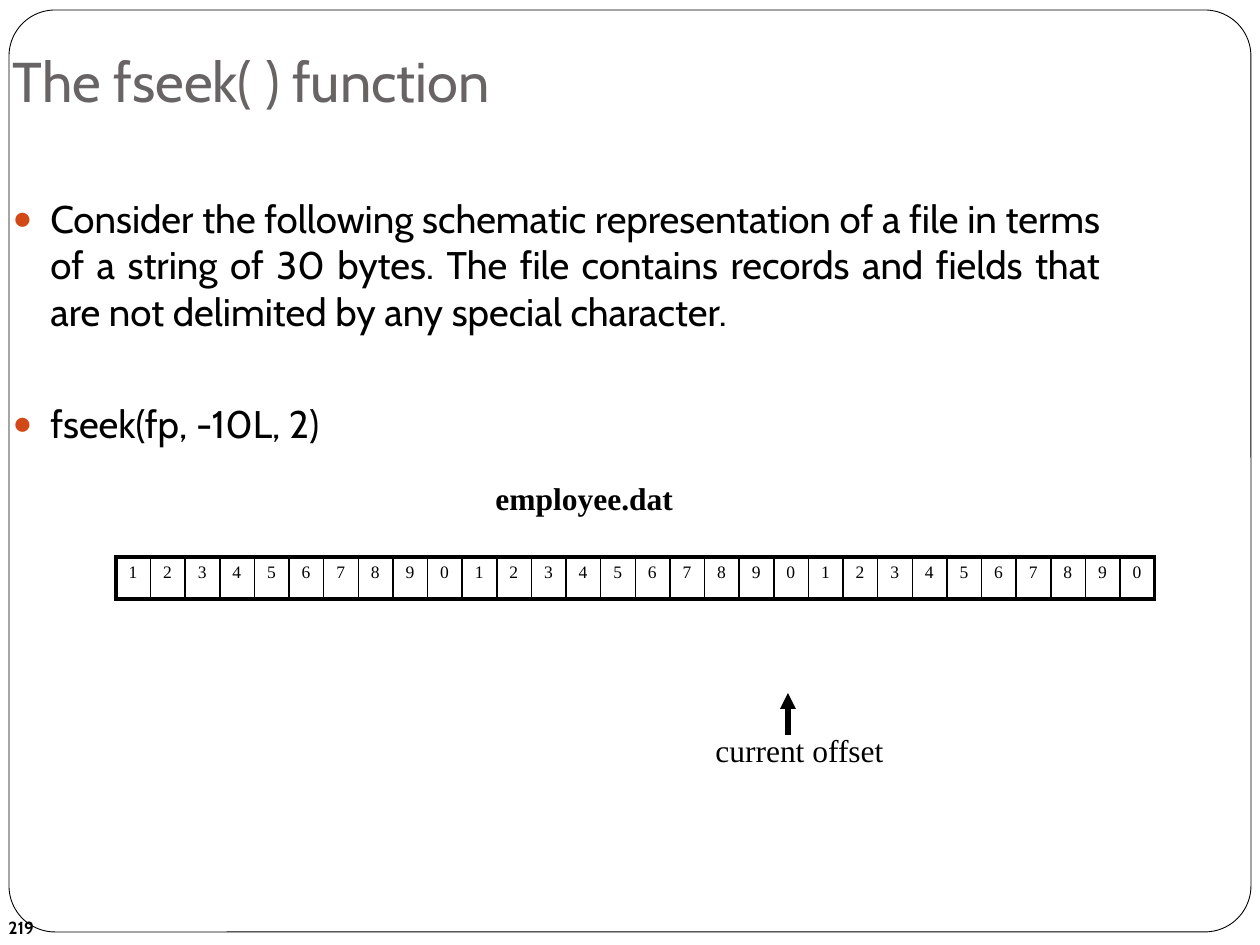
from pptx import Presentation, util as u
from pptx.dml.color import RGBColor
from pptx.enum import shapes, text
from pptx.oxml.ns import qn
from lxml import etree

BLACK = RGBColor(0x00, 0x00, 0x00)
WHITE = RGBColor(0xFF, 0xFF, 0xFF)
GREY = RGBColor(0x69, 0x64, 0x64)
ORANGE = RGBColor(0xD3, 0x48, 0x17)
SANS, SERIF = "Cabin", "Times New Roman"
PX_PER_INCH = 126
RECORD_BYTES = "1234567890" * 3


def px(*lengths):
    return [u.Emu(round(n * 914400 / PX_PER_INCH)) for n in lengths]


def sub(parent, tag, **attributes):
    return etree.SubElement(parent, qn(tag), attributes)


def write(paragraph, wording, font=SANS, size=18, color=BLACK, bold=False,
          align=text.PP_ALIGN.LEFT, before=0):
    paragraph.alignment = align
    paragraph.space_before = u.Pt(before)
    run = paragraph.add_run()
    run.text = wording
    run.font.name = font
    run.font.size = u.Pt(size)
    run.font.bold = bold
    run.font.color.rgb = color


def place(shape, *box):
    shape.left, shape.top, shape.width, shape.height = px(*box)


def add_frame(slide):
    """Rounded page border, behind everything else."""
    frame = slide.shapes.add_shape(
        shapes.MSO_SHAPE.ROUNDED_RECTANGLE, *px(9, 10, 1242, 922))
    frame.adjustments[0] = 0.05
    frame.shadow.inherit = False
    frame.fill.solid()
    frame.fill.fore_color.rgb = WHITE
    frame.line.color.rgb = BLACK
    frame.line.width = u.Pt(0.5)
    slide.shapes._spTree.insert(2, frame._element)


def add_label(slide, wording, *box, anchor=text.MSO_ANCHOR.TOP, **style):
    label = slide.shapes.add_textbox(*px(*box)).text_frame
    label.word_wrap = True
    label.vertical_anchor = anchor
    write(label.paragraphs[0], wording, **style)


def add_title(slide, wording):
    title = slide.shapes.title
    place(title, 0, 0, 1042, 126)
    frame = title.text_frame
    frame.auto_size = text.MSO_AUTO_SIZE.NONE
    frame.vertical_anchor = text.MSO_ANCHOR.BOTTOM
    frame.margin_bottom = u.Inches(0.1)
    write(frame.paragraphs[0], wording, size=32, color=GREY)


def set_bullet(paragraph):
    properties = paragraph._p.get_or_add_pPr()
    indent = u.Inches(0.3)
    properties.set("marL", str(indent))
    properties.set("indent", str(-indent))
    color = sub(properties, "a:buClr")
    sub(color, "a:srgbClr", val=str(ORANGE))
    sub(properties, "a:buSzPct", val="85000")
    sub(properties, "a:buFont", typeface="Arial")
    sub(properties, "a:buChar", char="●")


def add_points(slide, points):
    """Justified list from (wording, space before) pairs."""
    body = slide.placeholders[1]
    place(body, 0, 189, 1113, 378)
    frame = body.text_frame
    frame.auto_size = text.MSO_AUTO_SIZE.NONE
    for i, (wording, before) in enumerate(points):
        paragraph = frame.add_paragraph() if i else frame.paragraphs[0]
        write(paragraph, wording, size=22, before=before,
              align=text.PP_ALIGN.JUSTIFY)
        set_bullet(paragraph)


def set_borders(cell, **widths):
    """Border widths in points, keyed L, R, T and B."""
    properties = cell._tc.get_or_add_tcPr()
    for position, (side, width) in enumerate(widths.items()):
        line = etree.Element(qn(f"a:ln{side}"), w=str(u.Pt(width)))
        fill = sub(line, "a:solidFill")
        sub(fill, "a:srgbClr", val=str(BLACK))
        properties.insert(position, line)


def add_byte_strip(slide, digits):
    count = len(digits)
    strip = slide.shapes.add_table(1, count, *px(116, 557, 1040, 42)).table
    strip.first_row = strip.horz_banding = False
    column_width = px(1040 / count)[0]
    for i, digit in enumerate(digits):
        strip.columns[i].width = column_width
        cell = strip.cell(0, i)
        cell.fill.background()
        write(cell.text_frame.paragraphs[0], digit, font=SERIF, size=10)
        set_borders(cell, L=2.25 if i == 0 else 1,
                    R=2.25 if i == count - 1 else 1, T=2.25, B=2.25)


def add_arrow(slide, *ends):
    arrow = slide.shapes.add_connector(
        shapes.MSO_CONNECTOR.STRAIGHT, *px(*ends))
    arrow.line.color.rgb = BLACK
    arrow.line.width = u.Pt(3)
    sub(arrow.line._get_or_add_ln(), "a:tailEnd", type="triangle")
    sub(arrow._element.spPr, "a:effectLst")


def main():
    deck = Presentation()
    deck.slide_width, deck.slide_height = px(1260, 945)
    slide = deck.slides.add_slide(deck.slide_layouts[1])
    add_frame(slide)
    add_label(slide, "219", -4, 903, 294, 50, size=10, bold=True,
              anchor=text.MSO_ANCHOR.MIDDLE)
    add_title(slide, "The fseek( ) function")
    add_points(slide, [
        ("Consider the following schematic representation of a file in terms "
         "of a string of 30 bytes. The file contains records and fields that "
         "are not delimited by any special character.", 5.8),
        ("fseek(fp, -10L, 2)", 38),
    ])
    add_arrow(slide, 788, 735, 788, 693)
    add_label(slide, "current offset", 703, 725, 221, 50, font=SERIF)
    add_label(slide, "employee.dat", 483, 473, 221, 50, font=SERIF, bold=True)
    add_byte_strip(slide, RECORD_BYTES)
    deck.save("out.pptx")


if __name__ == "__main__":
    main()
